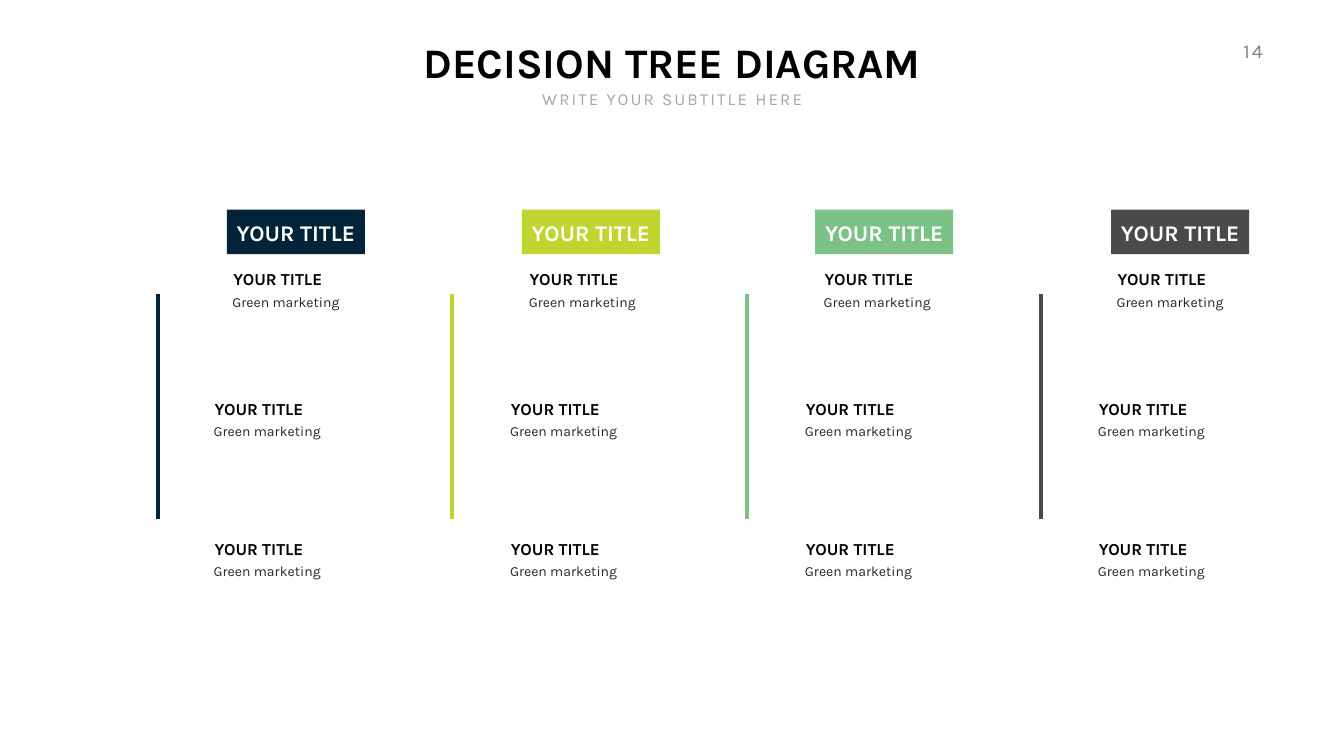
from dataclasses import dataclass

from lxml import etree
from pptx import Presentation
from pptx import util as u
from pptx.dml.color import RGBColor
from pptx.enum import shapes, text
from pptx.oxml import ns
from pptx.slide import Slide

COLORS = {
    "navy": "022338",
    "lime": "BED62F",
    "green": "7CC287",
    "charcoal": "4A4A4C",
    "black": "000000",
    "body": "272727",
    "subtitle": "A6A6A6",
    "number": "808080",
    "white": "FFFFFF",
}
FONT = "Karla"


@dataclass(frozen=True)
class Style:
    size: float
    color: str
    bold: bool = False
    align: text.PP_ALIGN = text.PP_ALIGN.LEFT
    anchor: text.MSO_ANCHOR = text.MSO_ANCHOR.TOP
    wrap: bool = False
    tracking: float = 0


@dataclass(frozen=True)
class Branch:
    color: str
    banner_left: float
    items_left: float


NUMBER = Style(28, "number", align=text.PP_ALIGN.RIGHT, tracking=3)
TITLE = Style(60, "black", bold=True, align=text.PP_ALIGN.CENTER)
SUBTITLE = Style(24, "subtitle", align=text.PP_ALIGN.CENTER, tracking=3)
BANNER = Style(32, "white", bold=True, align=text.PP_ALIGN.CENTER,
               anchor=text.MSO_ANCHOR.MIDDLE)
ITEM_TITLE = Style(24, "black", bold=True)
ITEM_DETAIL = Style(20, "body", wrap=True)

BRANCHES = [
    Branch("navy", 324, 326.2),
    Branch("lime", 745.2, 749.5),
    Branch("green", 1164.2, 1170.7),
    Branch("charcoal", 1586.9, 1589),
]
ITEM_ROWS = [(380.9, 0), (565.9, -26.8), (765.4, -26.8)]
STEM_LEFT, STEM_STEP = 225.4, 420.5
STEM_TOP, STEM_BOTTOM = 420.5, 740.9


def rgb(name: str) -> RGBColor:
    return RGBColor.from_string(COLORS[name])


def add_label(page: Slide, words: str, left: float, top: float,
              width: float, height: float, style: Style) -> None:
    box = page.shapes.add_textbox(u.Pt(left), u.Pt(top), u.Pt(width), u.Pt(height))
    frame = box.text_frame
    frame.text = words
    frame.word_wrap = style.wrap
    frame.auto_size = text.MSO_AUTO_SIZE.SHAPE_TO_FIT_TEXT
    frame.vertical_anchor = style.anchor
    para = frame.paragraphs[0]
    para.alignment = style.align
    span = para.runs[0]
    span.font.name = FONT
    span.font.size = u.Pt(style.size)
    span.font.bold = style.bold
    span.font.color.rgb = rgb(style.color)
    if style.tracking:
        span._r.get_or_add_rPr().set("spc", str(round(style.tracking * 100)))


def add_stem(page: Slide, left: float, color: str) -> None:
    stem = page.shapes.add_connector(
        shapes.MSO_CONNECTOR.STRAIGHT,
        u.Pt(left), u.Pt(STEM_TOP), u.Pt(left), u.Pt(STEM_BOTTOM))
    stem.line.color.rgb = rgb(color)
    stem.line.width = u.Pt(6)
    etree.SubElement(stem._element.spPr, ns.qn("a:effectLst"))


def add_banner(page: Slide, left: float, color: str) -> None:
    banner = page.shapes.add_shape(
        shapes.MSO_SHAPE.RECTANGLE, u.Pt(left), u.Pt(299.5), u.Pt(197.3), u.Pt(63.4))
    banner.shadow.inherit = False
    banner.fill.solid()
    banner.fill.fore_color.rgb = rgb(color)
    banner.line.fill.background()
    add_label(page, "YOUR TITLE", left + 2.2, 308.9, 193, 46.1, BANNER)


def add_item(page: Slide, left: float, top: float) -> None:
    add_label(page, "YOUR TITLE", left, top, 148.3, 36, ITEM_TITLE)
    add_label(page, "Green marketing", left - 1.4, top + 34.6, 208.1, 31.7, ITEM_DETAIL)


def main() -> None:
    deck = Presentation()
    deck.slide_width, deck.slide_height = u.Pt(1919.5), u.Pt(1080)
    page = deck.slides.add_slide(deck.slide_layouts[6])

    add_label(page, "14", 1747.4, 51.8, 63.4, 41, NUMBER)
    add_label(page, "DECISION TREE DIAGRAM", 578.2, 48.2, 763.2, 79.9, TITLE)
    add_label(page, "WRITE YOUR SUBTITLE HERE", 764.6, 123.8, 391, 36, SUBTITLE)

    for index, branch in enumerate(BRANCHES):
        add_stem(page, STEM_LEFT + index * STEM_STEP, branch.color)
        add_banner(page, branch.banner_left, branch.color)
        for top, shift in ITEM_ROWS:
            add_item(page, branch.items_left + shift, top)

    deck.save("out.pptx")


if __name__ == "__main__":
    main()
